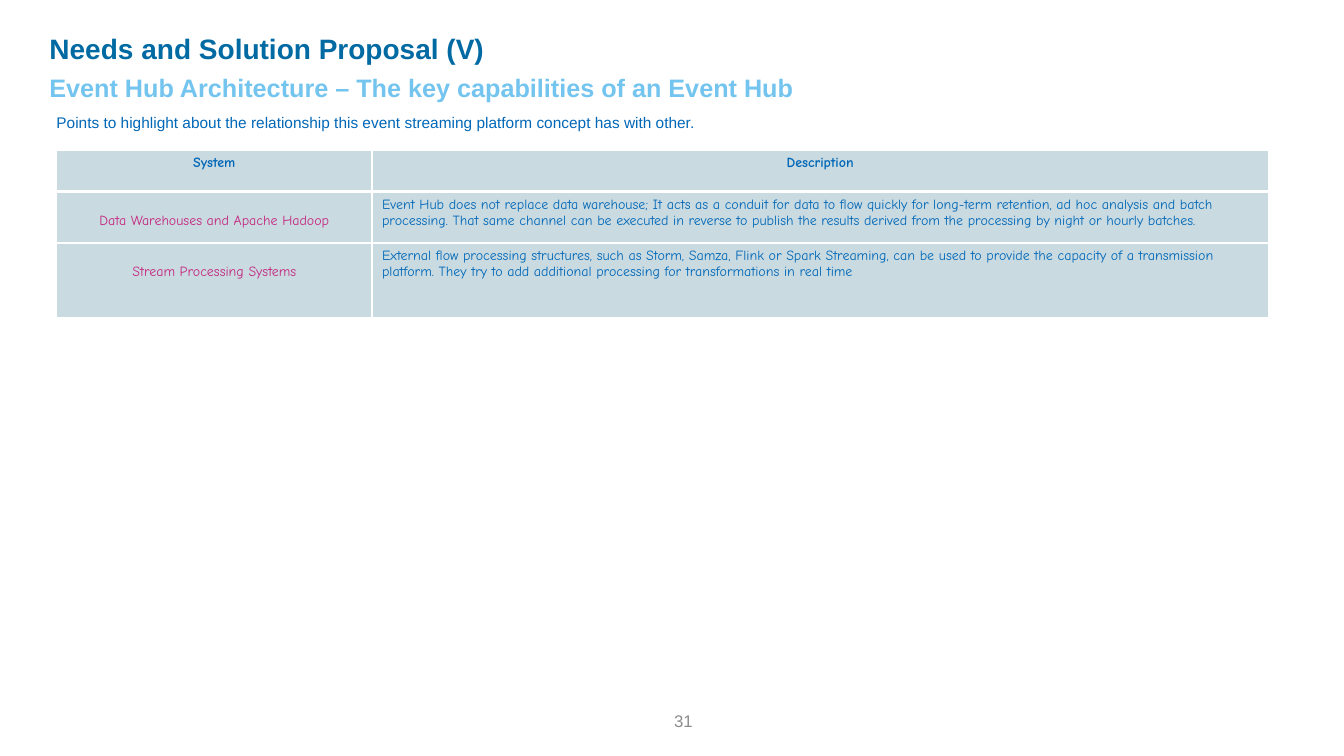
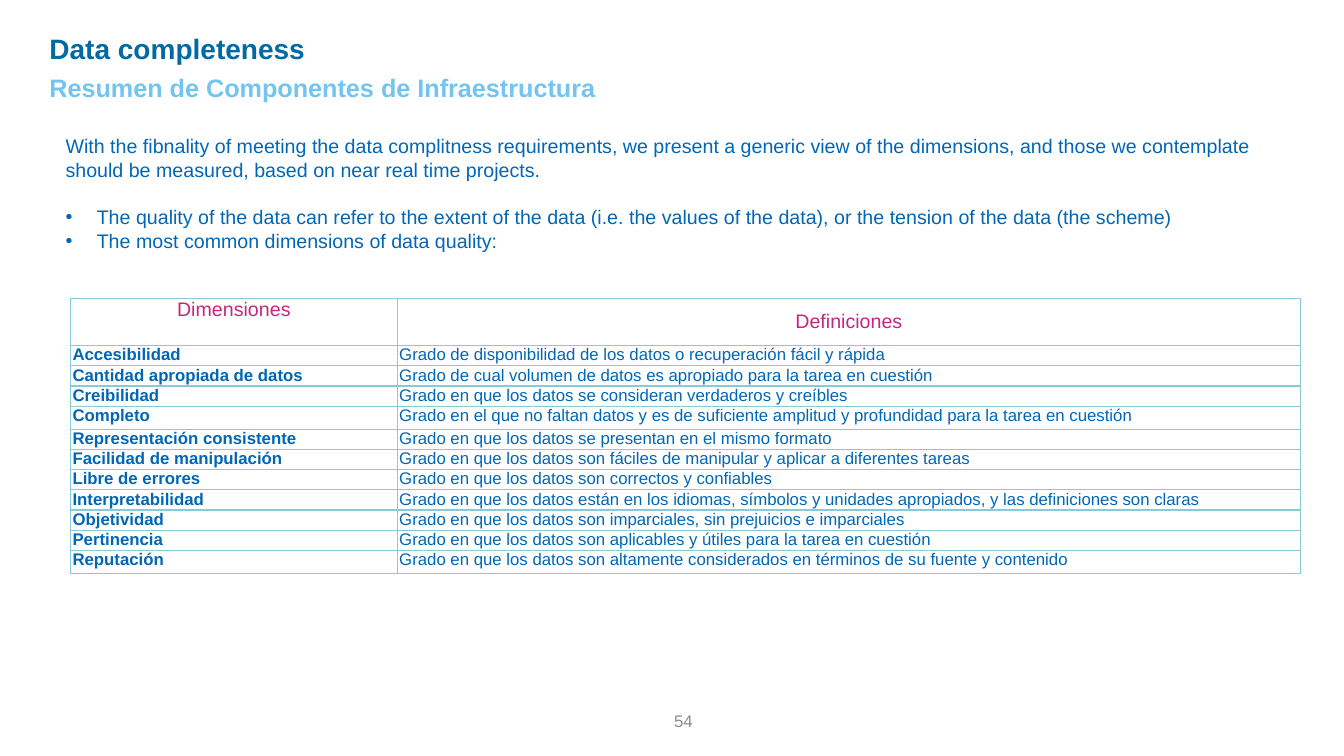
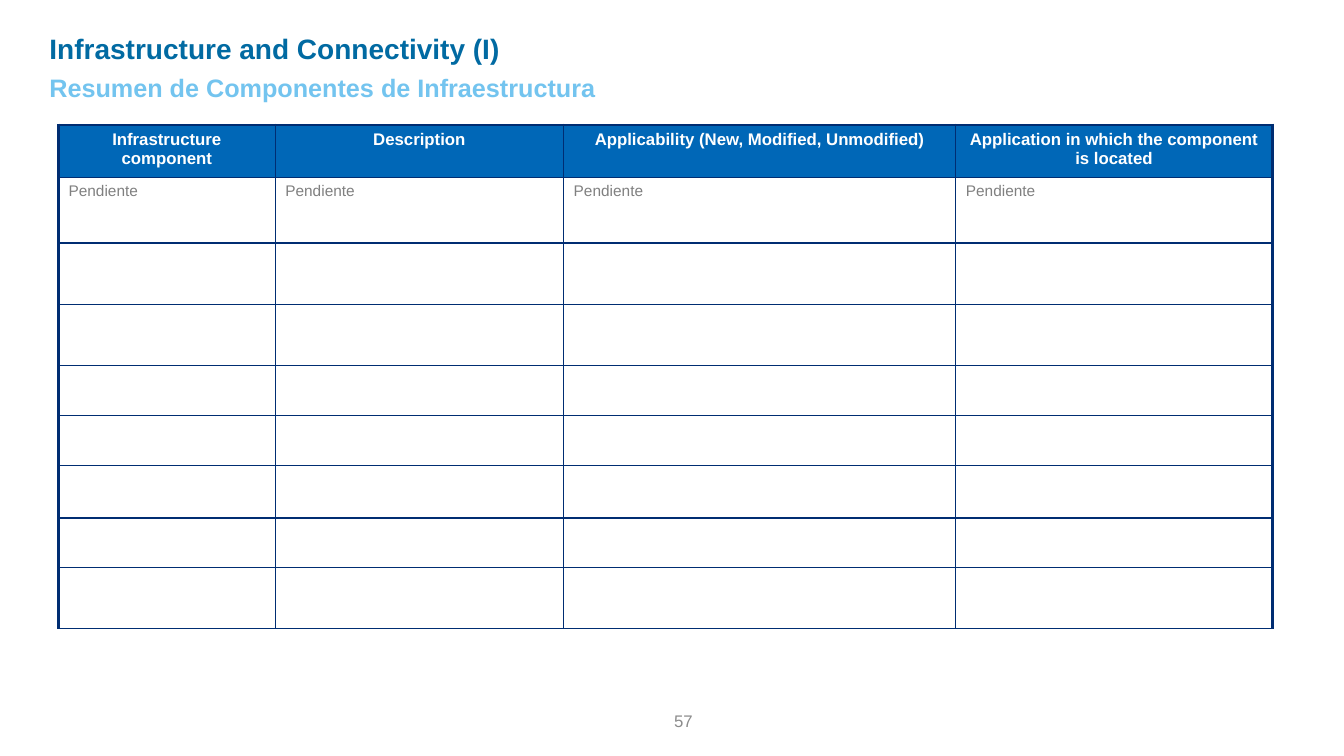
"""Build three slides on event hubs, data quality and infrastructure."""
from lxml.etree import SubElement
from pptx import Presentation
from pptx.dml.color import RGBColor
from pptx.enum.text import MSO_ANCHOR as Anchor, MSO_AUTO_SIZE as AutoSize, PP_ALIGN as Align
from pptx.oxml.ns import qn
from pptx.util import Inches, Pt

COLORS = {
    "title": "016AA2",
    "subtitle": "73C4EF",
    "text": "0067B7",
    "accent": "C5277F",
    "number": "8C8C8C",
    "pending": "808080",
    "pale": "C9DAE1",
    "white": "FFFFFF",
    "aqua": "87CBD8",
    "navy": "002D72",
}
TITLE_AND_BODY, TITLE_ONLY = 1, 5

SYSTEMS = [
    ("System", "Description"),
    (
        "Data Warehouses and Apache Hadoop",
        "Event Hub does not replace data warehouse; It acts as a conduit for data to flow quickly "
        "for long-term retention, ad hoc analysis and batch processing. That same channel can be "
        "executed in reverse to publish the results derived from the processing by night or hourly "
        "batches.",
    ),
    (
        "Stream Processing Systems",
        "External flow processing structures, such as Storm, Samza, Flink or Spark Streaming, can be "
        "used to provide the capacity of a transmission platform. They try to add additional "
        "processing for transformations in real time",
    ),
]
DIMENSIONS = [
    ("Dimensiones", "Definiciones"),
    ("Accesibilidad", "Grado de disponibilidad de los datos o recuperación fácil y rápida"),
    ("Cantidad apropiada de datos", "Grado de cual volumen de datos es apropiado para la tarea en cuestión"),
    ("Creibilidad", "Grado en que los datos se consideran verdaderos y creíbles"),
    ("Completo", "Grado en el que no faltan datos y es de suficiente amplitud y profundidad para la tarea en cuestión"),
    ("Representación consistente", "Grado en que los datos se presentan en el mismo formato"),
    ("Facilidad de manipulación", "Grado en que los datos son fáciles de manipular y aplicar a diferentes tareas"),
    ("Libre de errores", "Grado en que los datos son correctos y confiables"),
    (
        "Interpretabilidad",
        "Grado en que los datos están en los idiomas, símbolos y unidades apropiados, "
        "y las definiciones son claras",
    ),
    ("Objetividad", "Grado en que los datos son imparciales, sin prejuicios e imparciales"),
    ("Pertinencia", "Grado en que los datos son aplicables y útiles para la tarea en cuestión"),
    ("Reputación", "Grado en que los datos son altamente considerados en términos de su fuente y contenido"),
]
COMPONENTS = [
    (
        "Infrastructure component",
        "Description",
        "Applicability (New, Modified, Unmodified)",
        "Application in which the component is located",
    ),
    ("Pendiente",) * 4,
] + [("",) * 4] * 7


def write(paragraph, text, size, color, bold=False, align=Align.LEFT, font="Arial"):
    """Add one formatted run to a paragraph."""
    paragraph.alignment = align
    run = paragraph.add_run()
    run.text = text
    run.font.name = font
    run.font.size = Pt(size)
    run.font.bold = bold
    run.font.color.rgb = RGBColor.from_string(COLORS[color])


def set_bullet(paragraph, bullet):
    """Give a paragraph a hanging bullet, or none."""
    properties = paragraph._p.get_or_add_pPr()
    indent = Inches(0.31) if bullet else 0
    properties.set("marL", str(indent))
    properties.set("indent", str(-indent))
    if bullet:
        SubElement(properties, qn("a:buChar"), char="•")
    else:
        SubElement(properties, qn("a:buNone"))


def set_frame(shape, place, inset=0.1, anchor=Anchor.TOP):
    """Place a shape and prepare its text frame."""
    shape.left, shape.top, shape.width, shape.height = map(Inches, place)
    frame = shape.text_frame
    frame.word_wrap = True
    frame.auto_size = AutoSize.NONE
    frame.vertical_anchor = anchor
    frame.margin_left = frame.margin_right = Inches(inset)
    frame.margin_top = frame.margin_bottom = Inches(0.05)
    return frame


def add_text(slide, place, text, size, color, **style):
    """Add a text box with one paragraph."""
    box = slide.shapes.add_textbox(*map(Inches, place))
    frame = set_frame(box, place, style.pop("inset", 0.1), style.pop("anchor", Anchor.TOP))
    write(frame.paragraphs[0], text, size, color, **style)


def add_slide(presentation, layout, title, subtitle, number):
    """Add a slide with its title, subtitle and number."""
    slide = presentation.slides.add_slide(presentation.slide_layouts[layout])
    frame = set_frame(slide.shapes.title, (0.44, 0.26, 8.3, 0.44), 0.05)
    write(frame.paragraphs[0], title, 20, "title", bold=True)
    add_text(slide, (0.44, 0.67, 9.6, 0.4), subtitle, 18, "subtitle", bold=True, inset=0.05)
    add_text(slide, (3.34, 6.95, 3.63, 0.4), str(number), 12, "number",
             align=Align.RIGHT, anchor=Anchor.MIDDLE)
    return slide


def fill_body(slide, place, size, items):
    """Fill the body placeholder with (text, bullet, space before) items."""
    frame = set_frame(slide.placeholders[1], place)
    for index, (text, bullet, space) in enumerate(items):
        paragraph = frame.add_paragraph() if index else frame.paragraphs[0]
        set_bullet(paragraph, bullet)
        paragraph.space_before = Pt(space)
        write(paragraph, text, size, "text")


def set_borders(cell, color, widths):
    """Draw the left, right, top and bottom borders of a cell."""
    properties = cell._tc.get_or_add_tcPr()
    for side, width in zip("LRTB", widths):
        line = SubElement(properties, qn(f"a:ln{side}"), w=str(Pt(width)))
        fill = SubElement(line, qn("a:solidFill"))
        SubElement(fill, qn("a:srgbClr"), val=COLORS[color])


def add_grid(slide, corner, columns, heights, texts, border, widths_at, style_cell):
    """Add a table whose borders and cells follow the given rules."""
    size = map(Inches, (sum(columns), sum(heights)))
    table = slide.shapes.add_table(len(heights), len(columns), *map(Inches, corner), *size).table
    table.first_row = table.horz_banding = False
    for column, width in zip(table.columns, columns):
        column.width = Inches(width)
    for row, height in zip(table.rows, heights):
        row.height = Inches(height)
    for row, values in enumerate(texts):
        for column, text in enumerate(values):
            cell = table.cell(row, column)
            set_borders(cell, border, widths_at(row, column))
            cell.fill.background()
            style_cell(cell, row, column, text)


def fill_cell(cell, color):
    """Fill a cell with one colour."""
    cell.fill.solid()
    cell.fill.fore_color.rgb = RGBColor.from_string(COLORS[color])


def system_borders(row, column):
    """Return border widths with a thick rule under the header."""
    return 1, 1, 3 if row == 1 else 1, 3 if row == 0 else 1


def system_cell(cell, row, column, text):
    """Style a cell of the systems table."""
    fill_cell(cell, "pale")
    name = row > 0 and column == 0
    if name:
        cell.margin_top = Inches(0.21)
    write(cell.text_frame.paragraphs[0], text, 10, "accent" if name else "text", bold=row == 0,
          align=Align.CENTER if row == 0 or name else Align.LEFT, font="Comic Neue")


def dimension_cell(cell, row, column, text):
    """Style a cell of the dimensions table."""
    cell.margin_left = cell.margin_right = Inches(0.02)
    cell.margin_top = cell.margin_bottom = 0
    paragraph = cell.text_frame.paragraphs[0]
    if row == 0:
        cell.vertical_anchor = Anchor.MIDDLE if column else Anchor.TOP
        write(paragraph, text, 14, "accent", align=Align.CENTER)
    else:
        write(paragraph, text, 12, "text", bold=column == 0, align=Align.JUSTIFY)


def component_borders(row, column):
    """Return border widths with a thick left, top and right frame."""
    return (2.25 if column == 0 else 1, 2.25 if column == 3 else 1, 2.25 if row == 0 else 1, 1)


def component_cell(cell, row, column, text):
    """Style a cell of the components table."""
    paragraph = cell.text_frame.paragraphs[0]
    if row == 0:
        fill_cell(cell, "text")
        write(paragraph, text, 12, "white", bold=True, align=Align.CENTER)
    elif text:
        write(paragraph, text, 11, "pending")


def add_systems_slide(presentation):
    """Add the slide on related systems."""
    slide = add_slide(presentation, TITLE_AND_BODY, "Needs and Solution Proposal (V)",
                      "Event Hub Architecture – The key capabilities of an Event Hub", 31)
    intro = "Points to highlight about the relationship this event streaming platform concept has with other."
    fill_body(slide, (0.46, 1.07, 12.12, 0.29), 11, [(intro, False, 0)])
    add_grid(slide, (0.56, 1.49), (3.13, 8.89), (0.41, 0.51, 0.74), SYSTEMS,
             "white", system_borders, system_cell)


def add_dimensions_slide(presentation):
    """Add the slide on data quality dimensions."""
    slide = add_slide(presentation, TITLE_AND_BODY, "Data completeness",
                      "Resumen de Componentes de Infraestructura", 54)
    fill_body(slide, (0.55, 1.28, 12.2, 1.28), 14, [
        ("With the fibnality of meeting the data complitness requirements, we present a generic view of "
         "the dimensions, and those we contemplate should be measured, based on near real time projects.",
         False, 0),
        ("The quality of the data can refer to the extent of the data (i.e. the values of the data), "
         "or the tension of the data (the scheme)", True, 17),
        ("The most common dimensions of data quality:", True, 0),
    ])
    heights = [0.47] + [0.23 if row in (4, 11) else 0.2 for row in range(1, len(DIMENSIONS))]
    add_grid(slide, (0.7, 2.96), (3.24, 8.96), heights, DIMENSIONS,
             "aqua", lambda row, column: (1, 1, 1, 1), dimension_cell)


def add_components_slide(presentation):
    """Add the slide on infrastructure components."""
    slide = add_slide(presentation, TITLE_ONLY, "Infrastructure and Connectivity (I)",
                      "Resumen de Componentes de Infraestructura", 57)
    add_grid(slide, (0.58, 1.24), (2.15, 2.86, 3.89, 3.14),
             (0.52, 0.65, 0.61, 0.61, 0.49, 0.5, 0.52, 0.49, 0.61), COMPONENTS,
             "navy", component_borders, component_cell)


def main():
    """Build and save the presentation."""
    presentation = Presentation()
    presentation.slide_width = Inches(13.33)
    presentation.slide_height = Inches(7.5)
    add_systems_slide(presentation)
    add_dimensions_slide(presentation)
    add_components_slide(presentation)
    presentation.save("out.pptx")


if __name__ == "__main__":
    main()
